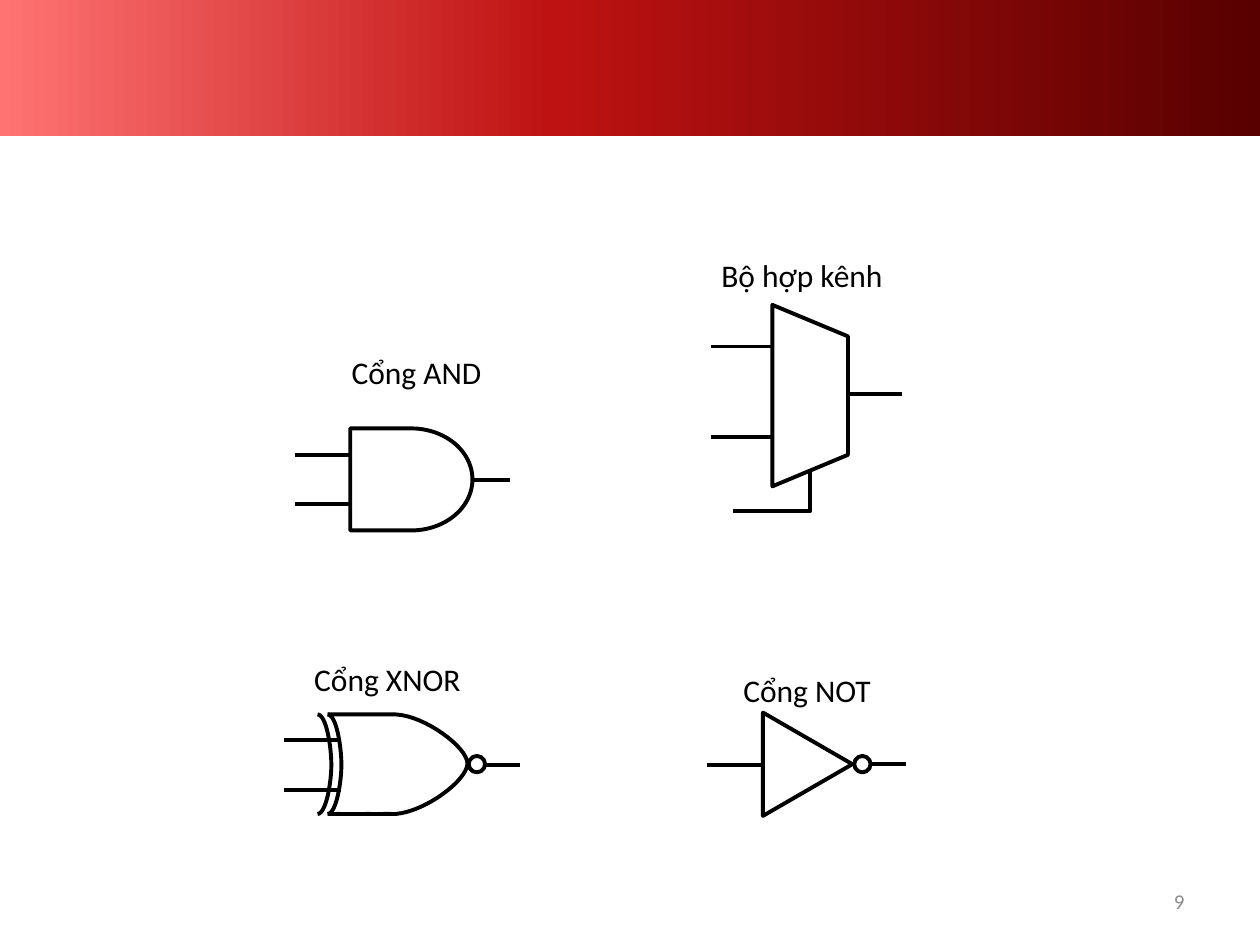
"""Build a slide of four logic symbols: AND, XNOR, NOT and a multiplexer."""
from copy import deepcopy
from pptx import Presentation
from pptx.dml.color import RGBColor as RGB
from pptx.enum.shapes import MSO_CONNECTOR as CONN, MSO_SHAPE as SHAPE
from pptx.enum.text import MSO_ANCHOR as ANCHOR, PP_ALIGN as ALIGN
from pptx.oxml.ns import qn
from pptx.oxml.xmlchemy import OxmlElement
from pptx.util import Inches, Pt

INK = {"black": "000000", "gray": "8C8C8C",
       "pink": "FF7373", "red": "BE1212", "wine": "580000"}

deck = Presentation()
deck.slide_width, deck.slide_height = Inches(10), Inches(7.5)
slide = deck.slides.add_slide(deck.slide_layouts[6])
shapes = slide.shapes


def write(text, left, top, width=1.65, size=18, ink="black",
          align=ALIGN.CENTER, anchor=ANCHOR.TOP):
    box = shapes.add_textbox(Inches(left), Inches(top), Inches(width), Inches(0.4))
    frame = box.text_frame
    frame.word_wrap = True
    frame.vertical_anchor = anchor
    para = frame.paragraphs[0]
    para.text = text
    para.alignment = align
    para.font.name, para.font.size = "Calibri", Pt(size)
    para.font.color.rgb = RGB.from_string(INK[ink])


def stroke(item):
    item.line.color.rgb = RGB.from_string(INK["black"])
    item.line.width = Pt(2.25)


band = shapes.add_shape(SHAPE.RECTANGLE, 0, 0, deck.slide_width, Inches(1.08))
band.shadow.inherit = False
band.line.fill.background()
band.fill.gradient()
band.fill.gradient_angle = 0
stops = band._element.spPr.find(".//" + qn("a:gsLst"))
stops.insert(1, deepcopy(stops[0]))
for stop, ink, pos in zip(band.fill.gradient_stops, ("pink", "red", "wine"), (0, 0.44, 1)):
    stop.color.rgb = RGB.from_string(INK[ink])
    stop.position = pos

write("9", 7.17, 6.95, width=2.33, size=12, ink="gray",
      align=ALIGN.RIGHT, anchor=ANCHOR.MIDDLE)

wires = [
    (2.34, 4, 2.79, 4), (2.34, 3.61, 2.79, 3.61), (3.76, 3.81, 4.05, 3.81),
    (2.25, 6.27, 2.71, 6.27), (2.25, 5.87, 2.71, 5.87), (3.84, 6.07, 4.13, 6.07),
    (5.61, 6.07, 6.06, 6.07), (6.9, 6.06, 7.19, 6.06),
    (6.73, 3.13, 7.16, 3.13), (5.64, 2.75, 6.12, 2.75), (5.64, 3.47, 6.12, 3.47),
    (5.82, 4.06, 6.43, 3.73),
]
for x1, y1, x2, y2 in wires:
    bent = y1 != y2
    wire = shapes.add_connector(CONN.ELBOW if bent else CONN.STRAIGHT,
                                Inches(x1), Inches(y1), Inches(x2), Inches(y2))
    stroke(wire)
    props = wire._element.spPr
    props.append(OxmlElement("a:effectLst"))
    if bent:
        props.find(qn("a:prstGeom")).set("prst", "bentConnector2")

parts = [
    (SHAPE.FLOWCHART_DELAY, 2.78, 3.4, 0.97, 0.81, 0),
    (SHAPE.OVAL, 3.72, 6, 0.13, 0.13, 0),
    (SHAPE.OVAL, 6.78, 6, 0.13, 0.13, 0),
    (SHAPE.ISOSCELES_TRIANGLE, 6, 5.71, 0.82, 0.71, 90),
    (SHAPE.TRAPEZOID, 5.71, 2.84, 1.44, 0.6, 90),
]
for kind, left, top, width, height, turn in parts:
    part = shapes.add_shape(kind, Inches(left), Inches(top), Inches(width), Inches(height))
    part.shadow.inherit = False
    part.fill.background()
    part.rotation = turn
    stroke(part)
    if kind == SHAPE.TRAPEZOID:
        part.adjustments[0] = 0.417

bows = [[((x, 6.46), (x + 0.07, 6.46), (x + 0.11, 6.2), (x + 0.11, 6.07)),
         ((x + 0.11, 6.07), (x + 0.11, 5.93), (x + 0.07, 5.67), (x, 5.67))]
        for x in (2.6, 2.52)]
body = [((2.6, 5.67), (2.6, 5.67), (3.14, 5.67), (3.14, 5.67)),
        ((3.14, 5.67), (3.37, 5.68), (3.71, 5.93), (3.71, 6.06)),
        ((3.71, 6.06), (3.71, 6.19), (3.38, 6.44), (3.14, 6.46)),
        ((3.14, 6.46), (3.14, 6.46), (2.6, 6.46), (2.6, 6.46))]
STEPS = 16
for curves in [body] + bows:
    dots = []
    for curve in curves:
        for step in range(1, STEPS + 1):
            t = step / STEPS
            mix = ((1 - t) ** 3, 3 * t * (1 - t) ** 2, 3 * t * t * (1 - t), t ** 3)
            dots.append([Inches(sum(m * p[axis] for m, p in zip(mix, curve)))
                         for axis in (0, 1)])
    x, y = curves[0][0]
    path = shapes.build_freeform(Inches(x), Inches(y))
    path.add_line_segments(dots, close=False)
    arc = path.convert_to_shape()
    arc.shadow.inherit = False
    arc.fill.background()
    stroke(arc)

for text, left, top in [("Cổng AND", 2.48, 2.75), ("Cổng XNOR", 2.25, 5.19),
                        ("Cổng NOT", 5.58, 5.28), ("Bộ hợp kênh", 5.54, 1.98)]:
    write(text, left, top)

deck.save("out.pptx")
